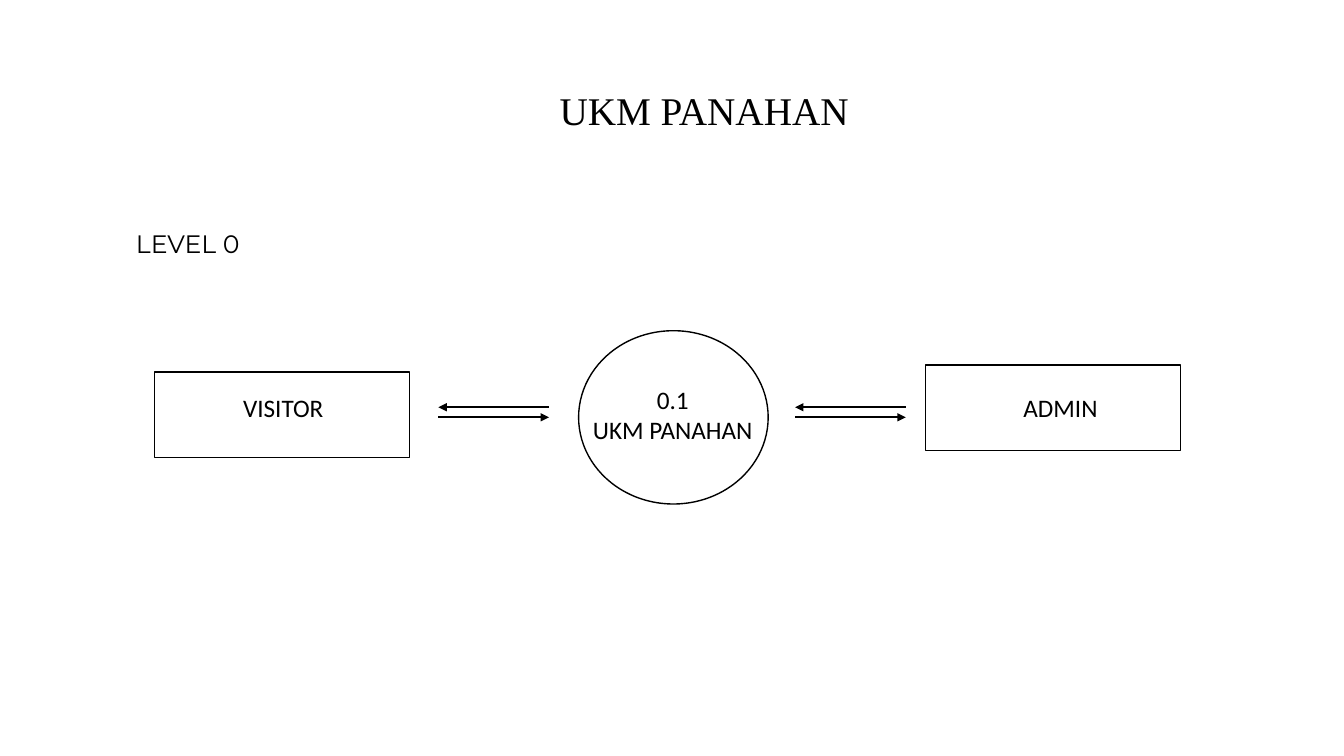
"""Build the level 0 data flow diagram slide."""
from lxml.etree import SubElement
from pptx import Presentation
from pptx.dml.color import RGBColor
from pptx.enum.shapes import MSO_CONNECTOR, MSO_SHAPE
from pptx.enum.text import MSO_ANCHOR, PP_ALIGN
from pptx.oxml.ns import qn
from pptx.util import Pt

BLACK = RGBColor(0, 0, 0)
WHITE = RGBColor(255, 255, 255)


def place(shape, left, top, width, height):
    shape.left, shape.top = Pt(left), Pt(top)
    shape.width, shape.height = Pt(width), Pt(height)


def write(frame, text, face, size, align):
    frame.word_wrap = True
    frame.vertical_anchor = MSO_ANCHOR.TOP
    frame.text = text
    for para in frame.paragraphs:
        para.alignment = align
        para.font.name = face
        para.font.size = Pt(size)
        para.font.color.rgb = BLACK


deck = Presentation()
deck.slide_width, deck.slide_height = Pt(960), Pt(540)
slide = deck.slides.add_slide(deck.slide_layouts[5])
shapes = slide.shapes

title = shapes.title
place(title, 344.9, 58.3, 316, 41)
write(title.text_frame, "UKM PANAHAN", "Times New Roman", 28, PP_ALIGN.CENTER)

nodes = [
    (MSO_SHAPE.RECTANGLE, 110.2, 265.7, 182.2, 61.2),
    (MSO_SHAPE.OVAL, 413.3, 236.2, 135.4, 123.8),
    (MSO_SHAPE.RECTANGLE, 661, 260.6, 182.2, 61.2),
]
for kind, left, top, width, height in nodes:
    node = shapes.add_shape(kind, Pt(left), Pt(top), Pt(width), Pt(height))
    node.shadow.inherit = False
    node.fill.solid()
    node.fill.fore_color.rgb = WHITE
    node.line.color.rgb = BLACK
    node.line.width = Pt(1)

labels = [
    ("LEVEL 0", "Montserrat", PP_ALIGN.LEFT, 90, 159.8, 111.6, 29.5),
    ("VISITOR", "Calibri", PP_ALIGN.CENTER, 131.8, 276.5, 141.1, 29),
    ("0.1\nUKM PANAHAN", "Calibri", PP_ALIGN.CENTER, 408.2, 270.7, 144.7, 51),
    ("ADMIN", "Calibri", PP_ALIGN.CENTER, 689.8, 276.5, 135.4, 29),
]
for text, face, align, left, top, width, height in labels:
    label = shapes.add_textbox(Pt(left), Pt(top), Pt(width), Pt(height))
    write(label.text_frame, text, face, 18, align)

for left in (313.2, 568):
    for top, end in ((290.9, "a:headEnd"), (298.1, "a:tailEnd")):
        arrow = shapes.add_connector(
            MSO_CONNECTOR.STRAIGHT, Pt(left), Pt(top), Pt(left + 79), Pt(top)
        )
        arrow.line.color.rgb = BLACK
        arrow.line.width = Pt(1.5)
        props = arrow._element.spPr
        SubElement(props.find(qn("a:ln")), qn(end), type="triangle")
        SubElement(props, qn("a:effectLst"))

deck.save("out.pptx")
